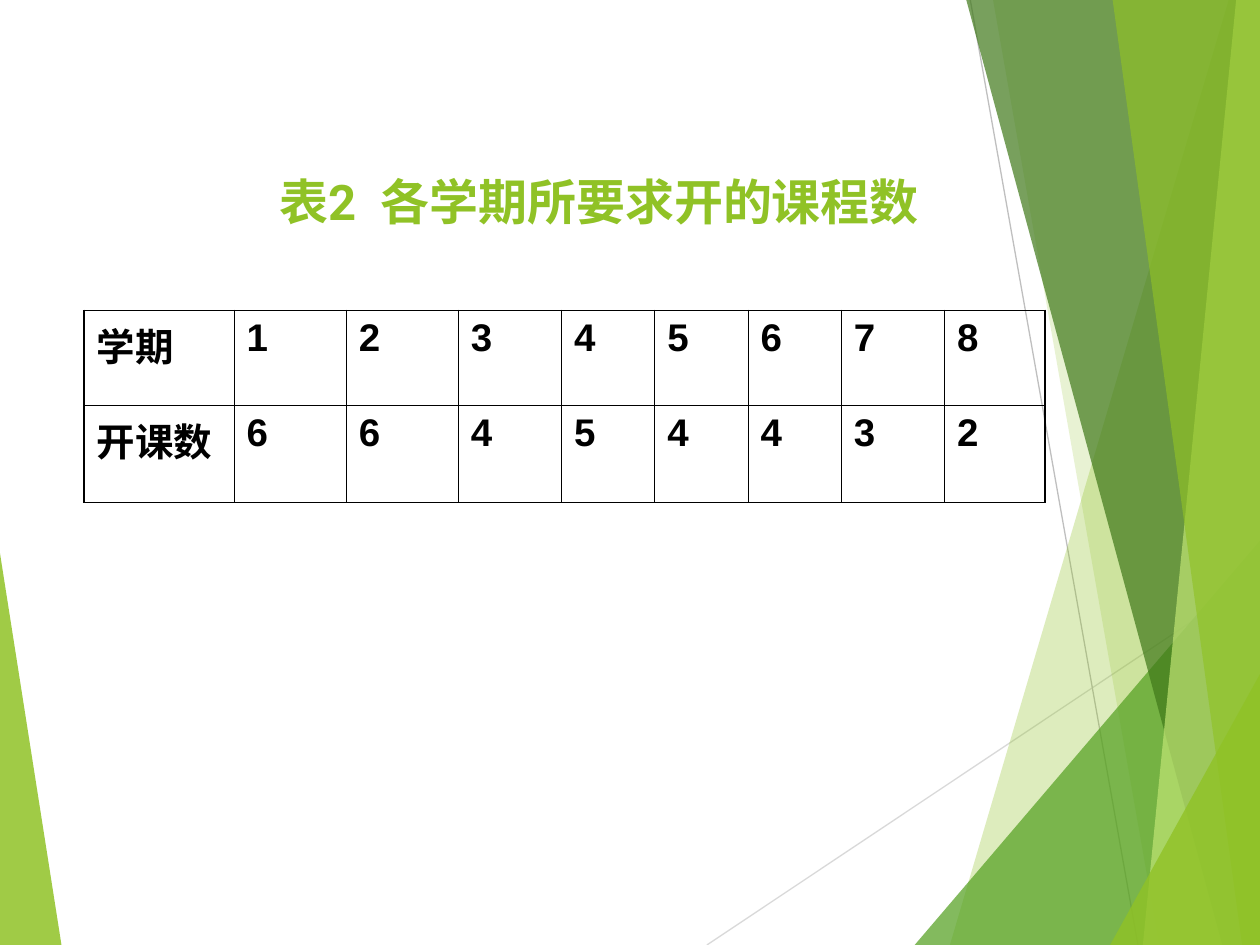
from dataclasses import dataclass

import lxml.etree
import pptx
import pptx.dml.color
import pptx.enum.text
import pptx.oxml.ns
import pptx.util
from pptx.util import Cm

COLORS = {
    "lime": "90C226",
    "green": "54A021",
    "forest": "3F7819",
    "pale": "C0E474",
    "light_gray": "D9D9D9",
    "gray": "BFBFBF",
    "black": "000000",
}
RIGHT, BOTTOM = 25.4, 19.05
COLUMN_WIDTHS = (3.02, 2.26, 2.26, 2.08, 1.88, 1.88, 1.88, 2.08, 2.03)
ROW_HEIGHTS = (1.92, 1.95)
ROWS = (("学期", *"12345678"), ("开课数", *"66454432"))
OUTER_BORDER, INNER_BORDER = 1.08, 0.45


@dataclass
class Facet:
    points: list[tuple[float, float]]
    color: str
    opacity: int


@dataclass
class Ray:
    start: tuple[float, float]
    end: tuple[float, float]
    color: str


def band(top_x: float, bottom_x: float) -> list[tuple[float, float]]:
    return [(top_x, 0), (bottom_x, BOTTOM), (RIGHT, BOTTOM), (RIGHT, 0)]


def corner(bottom_x: float, right_y: float) -> list[tuple[float, float]]:
    return [(bottom_x, BOTTOM), (RIGHT, right_y), (RIGHT, BOTTOM)]


LEFT_FACET = Facet([(0, 11.15), (1.24, BOTTOM), (0, BOTTOM)], "lime", 85)
RAYS = [
    Ray((14.25, BOTTOM), (RIGHT, 11.61), "light_gray"),
    Ray((19.56, 0), (22.94, BOTTOM), "gray"),
]
RIGHT_FACETS = [
    Facet(band(24.77, 19.15), "lime", 30),
    Facet(band(20.02, 23.37), "lime", 20),
    Facet(corner(18.44, 10.9), "green", 72),
    Facet(band(19.48, 24.64), "forest", 70),
    Facet(band(24.92, 23.04), "pale", 70),
    Facet(band(22.43, 25.04), "lime", 65),
    Facet(corner(22.38, 13.59), "lime", 80),
]


def rgb(name: str) -> pptx.dml.color.RGBColor:
    return pptx.dml.color.RGBColor.from_string(COLORS[name])


def add_child(parent, tag: str, **attributes: str):
    return lxml.etree.SubElement(parent, pptx.oxml.ns.qn(tag), **attributes)


def draw_facet(slide, facet: Facet) -> None:
    points = [(Cm(x), Cm(y)) for x, y in facet.points]
    builder = slide.shapes.build_freeform(*points[0])
    builder.add_line_segments(points[1:], close=True)
    shape = builder.convert_to_shape()
    shape.shadow.inherit = False
    shape.line.fill.background()
    shape.fill.solid()
    shape.fill.fore_color.rgb = rgb(facet.color)
    color = shape._element.spPr.find(".//" + pptx.oxml.ns.qn("a:srgbClr"))
    add_child(color, "a:alpha", val=str(facet.opacity * 1000))


def draw_ray(slide, ray: Ray) -> None:
    connector = slide.shapes.add_connector(
        pptx.enum.shapes.MSO_CONNECTOR.STRAIGHT,
        *(Cm(value) for value in ray.start + ray.end),
    )
    connector.line.color.rgb = rgb(ray.color)
    connector.line.width = pptx.util.Pt(0.75)
    add_child(connector._element.spPr, "a:effectLst")


def add_run(paragraph, text: str, font: str, size: float, color: str):
    run = paragraph.add_run()
    run.text = text
    run.font.name = font
    run.font.size = pptx.util.Pt(size)
    run.font.bold = True
    run.font.color.rgb = rgb(color)
    return run


def format_title(slide) -> None:
    title = slide.shapes.title
    title.left, title.top = Cm(1.7), Cm(3.33)
    title.width, title.height = Cm(20.75), Cm(1.45)
    slide.shapes._spTree.append(title._element)
    title.text_frame.vertical_anchor = pptx.enum.text.MSO_ANCHOR.MIDDLE
    title.text_frame.auto_size = pptx.enum.text.MSO_AUTO_SIZE.NONE
    paragraph = title.text_frame.paragraphs[0]
    paragraph.alignment = pptx.enum.text.PP_ALIGN.CENTER
    add_run(paragraph, "表2", "Roboto", 28, "lime")
    gap = add_run(paragraph, " ", "Roboto", 28, "lime")
    gap.font._element.set("spc", "700")
    add_run(paragraph, "各学期所要求开的课程数", "Roboto", 28, "lime")


def add_border(cell, side: str, outer: bool) -> None:
    width = pptx.util.Pt(OUTER_BORDER if outer else INNER_BORDER)
    properties = cell._tc.get_or_add_tcPr()
    line = add_child(properties, f"a:ln{side}", w=str(width))
    fill = add_child(line, "a:solidFill")
    add_child(fill, "a:srgbClr", val=COLORS["black"])


def draw_table(slide) -> None:
    last_row, last_column = len(ROWS) - 1, len(COLUMN_WIDTHS) - 1
    frame = slide.shapes.add_table(
        len(ROWS), len(COLUMN_WIDTHS), Cm(1.7), Cm(6.26),
        Cm(sum(COLUMN_WIDTHS)), Cm(sum(ROW_HEIGHTS)),
    )
    table = frame.table
    table.first_row = False
    table.horz_banding = False
    for column, width in zip(table.columns, COLUMN_WIDTHS):
        column.width = Cm(width)
    for row, height in zip(table.rows, ROW_HEIGHTS):
        row.height = Cm(height)
    for row_index, values in enumerate(ROWS):
        for column_index, value in enumerate(values):
            cell = table.cell(row_index, column_index)
            add_border(cell, "L", column_index == 0)
            add_border(cell, "R", column_index == last_column)
            add_border(cell, "T", row_index == 0)
            add_border(cell, "B", row_index == last_row)
            cell.fill.background()
            paragraph = cell.text_frame.paragraphs[0]
            paragraph.space_before = pptx.util.Pt(5.5)
            add_run(paragraph, value, "Arial", 22, "black")


def main() -> None:
    presentation = pptx.Presentation()
    presentation.slide_width = Cm(RIGHT)
    presentation.slide_height = Cm(BOTTOM)
    slide = presentation.slides.add_slide(presentation.slide_layouts[5])
    draw_facet(slide, LEFT_FACET)
    for ray in RAYS:
        draw_ray(slide, ray)
    for facet in RIGHT_FACETS:
        draw_facet(slide, facet)
    format_title(slide)
    draw_table(slide)
    presentation.save("out.pptx")


if __name__ == "__main__":
    main()
